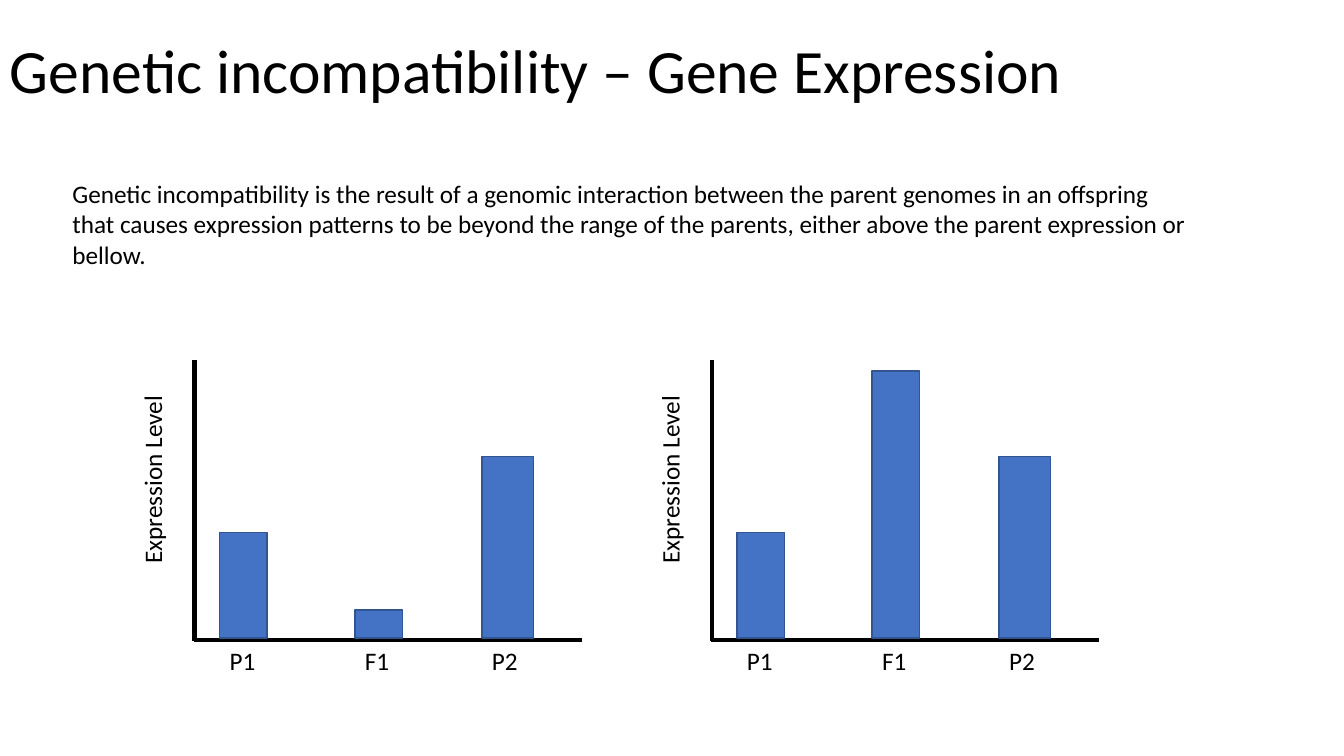
from dataclasses import dataclass

from lxml.etree import SubElement
from pptx import Presentation
from pptx.dml.color import RGBColor as Rgb
from pptx.enum.shapes import MSO_CONNECTOR as Connector, MSO_SHAPE as Preset
from pptx.enum.text import MSO_ANCHOR as Anchor
from pptx.oxml.ns import qn
from pptx.util import Inches, Pt


@dataclass(frozen=True)
class Theme:
    """Colours, font and sizes of the slide."""
    font: str = "Calibri"
    ink: Rgb = Rgb(0x00, 0x00, 0x00)
    bar: Rgb = Rgb(0x44, 0x72, 0xC4)
    bar_edge: Rgb = Rgb(0x32, 0x54, 0x91)
    title_size: int = 44
    body_size: int = 18
    axis_width: int = 3
    edge_width: int = 1


THEME = Theme()
TITLE = "Genetic incompatibility – Gene Expression"
EXPLANATION = (
    "Genetic incompatibility is the result of a genomic interaction between "
    "the parent genomes in an offspring that causes expression patterns to be "
    "beyond the range of the parents, either above the parent expression or bellow."
)
AXIS_TOP, BASELINE, AXIS_LENGTH = 3.57, 6.35, 3.84
BAR_BOTTOM = 6.33
LABEL_HEIGHT = 0.4
PARENT_1 = ("P1", 0.25, 0.47, 1.05, 0.65)
PARENT_2 = ("P2", 2.85, 0.51, 1.8, 0.65)


def offspring(height):
    """Return the F1 bar: name, offset, width, height and label width."""
    return ("F1", 1.59, 0.47, height, 1.07)


def add_text(slide, text, left, top, width, height, size=THEME.body_size):
    """Add a wrapped text box and return it."""
    box = slide.shapes.add_textbox(
        Inches(left), Inches(top), Inches(width), Inches(height))
    box.text_frame.word_wrap = True
    run = box.text_frame.paragraphs[0].add_run()
    run.text = text
    run.font.name = THEME.font
    run.font.size = Pt(size)
    run.font.color.rgb = THEME.ink
    return box


def add_title(slide):
    """Add the vertically centred slide title."""
    box = add_text(slide, TITLE, 0, 0, 11.5, 1.45, THEME.title_size)
    box.text_frame.vertical_anchor = Anchor.MIDDLE
    box.text_frame.paragraphs[0].line_spacing = 0.9


def add_axis(slide, start_x, start_y, end_x, end_y):
    """Add a straight axis line without a shadow."""
    axis = slide.shapes.add_connector(
        Connector.STRAIGHT,
        Inches(start_x), Inches(start_y), Inches(end_x), Inches(end_y))
    axis.line.color.rgb = THEME.ink
    axis.line.width = Pt(THEME.axis_width)
    SubElement(axis._element.spPr, qn("a:effectLst"))


def add_bar(slide, left, width, height):
    """Add a bar that stands on the baseline."""
    bar = slide.shapes.add_shape(
        Preset.RECTANGLE, Inches(left), Inches(BAR_BOTTOM - height),
        Inches(width), Inches(height))
    bar.shadow.inherit = False
    bar.fill.solid()
    bar.fill.fore_color.rgb = THEME.bar
    bar.line.color.rgb = THEME.bar_edge
    bar.line.width = Pt(THEME.edge_width)


def add_panel(slide, left, bars):
    """Add an expression diagram with its axes, bars and labels."""
    add_axis(slide, left, AXIS_TOP, left, BASELINE + 0.01)
    add_axis(slide, left - 0.01, BASELINE, left + AXIS_LENGTH, BASELINE)
    axis_label = add_text(
        slide, "Expression Level", left - 1.43, 4.48, 2.02, LABEL_HEIGHT)
    axis_label.rotation = 270
    for name, offset, width, height, label_width in bars:
        add_bar(slide, left + offset, width, height)
        add_text(slide, name, left + offset, BASELINE, label_width, LABEL_HEIGHT)


def main():
    """Build and save the slide."""
    presentation = Presentation()
    presentation.slide_width = Inches(13.33)
    presentation.slide_height = Inches(7.5)
    slide = presentation.slides.add_slide(presentation.slide_layouts[6])
    add_title(slide)
    add_text(slide, EXPLANATION, 0.62, 1.72, 11.31, 1.01)
    for left, offspring_height in ((1.93, 0.28), (7.06, 2.65)):
        add_panel(slide, left, (PARENT_1, offspring(offspring_height), PARENT_2))
    presentation.save("out.pptx")


main()
